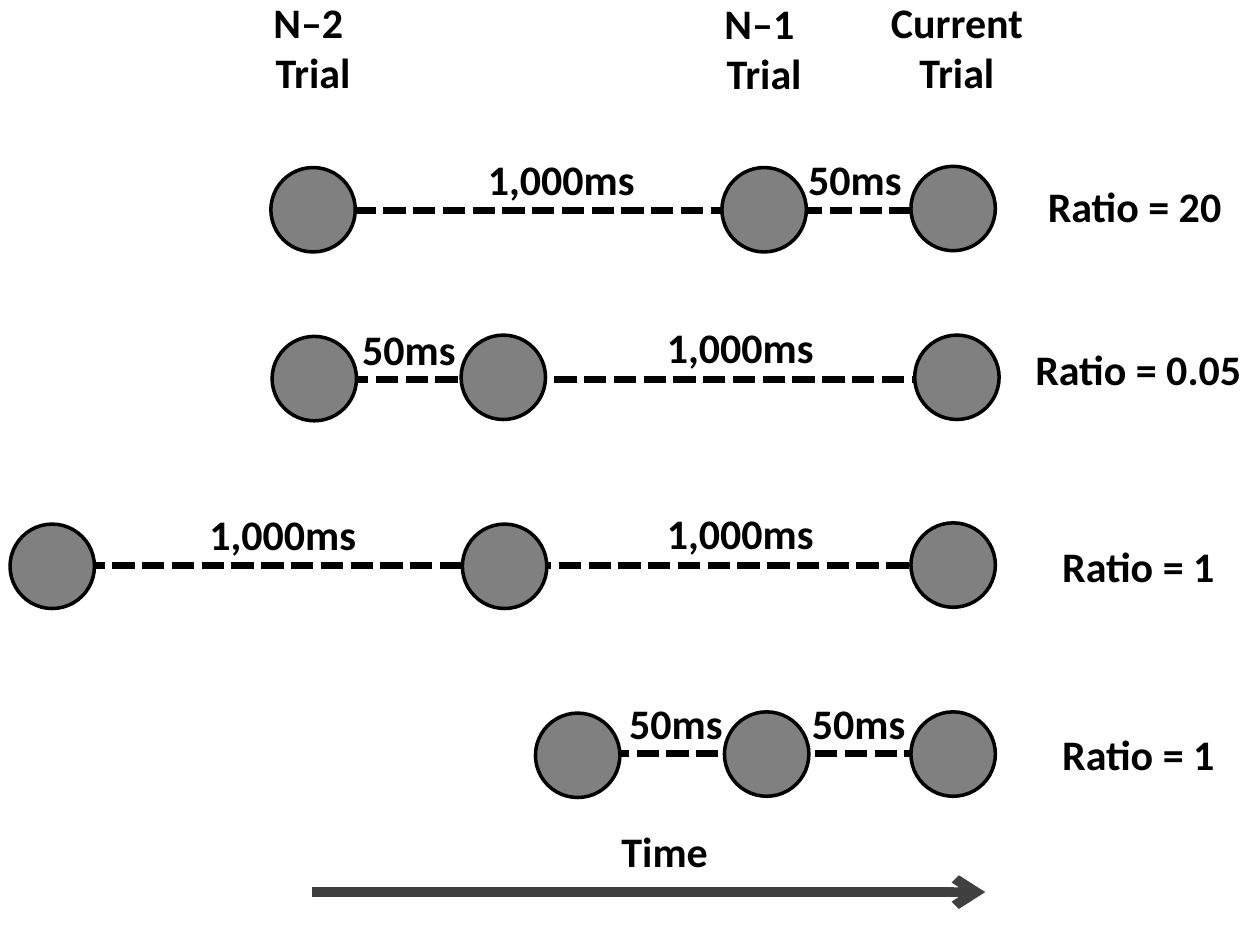
from lxml import etree
from pptx import Presentation, util as u
from pptx.dml.color import RGBColor
from pptx.enum import dml, shapes, text
from pptx.oxml.ns import qn

COLS, ROWS = 100, 75


def color(value):
    """Return the colour for a hex string."""
    return RGBColor.from_string(value)


def write(tf, content, size=24, font="Calibri", fill="000000", bold=True):
    """Fill a text frame with one centred paragraph per line."""
    for i, line in enumerate(content.split("\n")):
        p = tf.paragraphs[0] if i == 0 else tf.add_paragraph()
        p.alignment = text.PP_ALIGN.CENTER
        r = p.add_run()
        r.text = line
        r.font.size = u.Pt(size)
        r.font.name = font
        r.font.bold = bold
        r.font.color.rgb = color(fill)


class Diagram:
    """Draw trial timelines on a grid of columns and rows."""

    ink, disc, arrow_ink = "000000", "808080", "404040"
    diameter, label_width = 6.7, 16.7

    def __init__(self, prs):
        """Add a blank slide and measure its grid."""
        self.s = prs.slides.add_slide(prs.slide_layouts[6])
        self.col = prs.slide_width / COLS
        self.row = prs.slide_height / ROWS

    def at(self, x, y):
        """Turn columns and rows into slide lengths."""
        return int(x * self.col), int(y * self.row)

    def line(self, x1, x2, y, width=4.25, fill=ink, dash=None, head=None):
        """Draw a horizontal line, dashed or with an arrowhead."""
        sp = self.s.shapes.add_connector(
            shapes.MSO_CONNECTOR.STRAIGHT, *self.at(x1, y), *self.at(x2, y))
        sp.line.color.rgb = color(fill)
        sp.line.width = u.Pt(width)
        if dash:
            sp.line.dash_style = dash
        if head:
            etree.SubElement(sp.line._get_or_add_ln(), qn("a:tailEnd"), type=head)
        etree.SubElement(sp._element.spPr, qn("a:effectLst"))

    def trial(self, x, y):
        """Draw one trial disc from its left and top."""
        sp = self.s.shapes.add_shape(
            shapes.MSO_SHAPE.OVAL, *self.at(x, y),
            *self.at(self.diameter, self.diameter))
        sp.shadow.inherit = False
        sp.fill.solid()
        sp.fill.fore_color.rgb = color(self.disc)
        sp.line.color.rgb = color(self.ink)
        sp.line.width = u.Pt(2)

    def label(self, content, x, y, w=label_width, h=5):
        """Place a centred bold label."""
        sp = self.s.shapes.add_textbox(*self.at(x, y), *self.at(w, h))
        tf = sp.text_frame
        tf.word_wrap = True
        tf.auto_size = text.MSO_AUTO_SIZE.SHAPE_TO_FIT_TEXT
        write(tf, content)

    def timeline(self, span, trials, gaps, ratio):
        """Draw a dashed line with its trials, gap labels and ratio."""
        self.line(*span, dash=dml.MSO_LINE.SQUARE_DOT)
        for x, y in trials:
            self.trial(x, y)
        for gap in gaps:
            self.label(*gap)
        self.label(*ratio)


LONG, SHORT = "1,000ms", "50ms"
TIMELINES = [
    ((25.7, 76.5, 16.7), [(57.3, 13.3), (21.5, 13.3), (72.3, 13.2)],
     [(LONG, 36.2, 11.7), (SHORT, 59.5, 11.7)], ("Ratio = 20", 81.7, 13.8)),
    ((25.1, 75.9, 30.1), [(72.6, 26.6), (36.6, 26.6), (21.6, 26.7)],
     [(SHORT, 24.1, 25.2), (LONG, 50.4, 25)], ("Ratio = 0.05", 80.7, 26.8, 19.3)),
    ((4.2, 76.5, 44.9), [(72.3, 41.5), (36.7, 41.6), (0.8, 41.6)],
     [(LONG, 14.1, 39.9), (LONG, 50.4, 39.8)], ("Ratio = 1", 82, 42.4)),
    ((45.8, 78.2, 59.8), [(72.3, 56.5), (57.5, 56.5), (42.5, 56.6)],
     [(SHORT, 45.3, 54.9), (SHORT, 59.8, 54.9)], ("Ratio = 1", 82, 57.3)),
]
HEADINGS = [("N–2 ", 16.5, -0.8), ("N–1 ", 52.3, -0.7), ("Current", 67.6, -0.8)]

prs = Presentation()
prs.slide_width, prs.slide_height = u.Inches(10), u.Inches(7.5)
d = Diagram(prs)
for row in TIMELINES:
    d.timeline(*row)
d.line(24.8, 78.2, 70.8, width=5.5, fill=d.arrow_ink, head="arrow")
d.label("Time", 44.4, 65)
for name, x, y in HEADINGS:
    d.label(name + "\nTrial", x, y, h=9.1)
prs.save("out.pptx")
